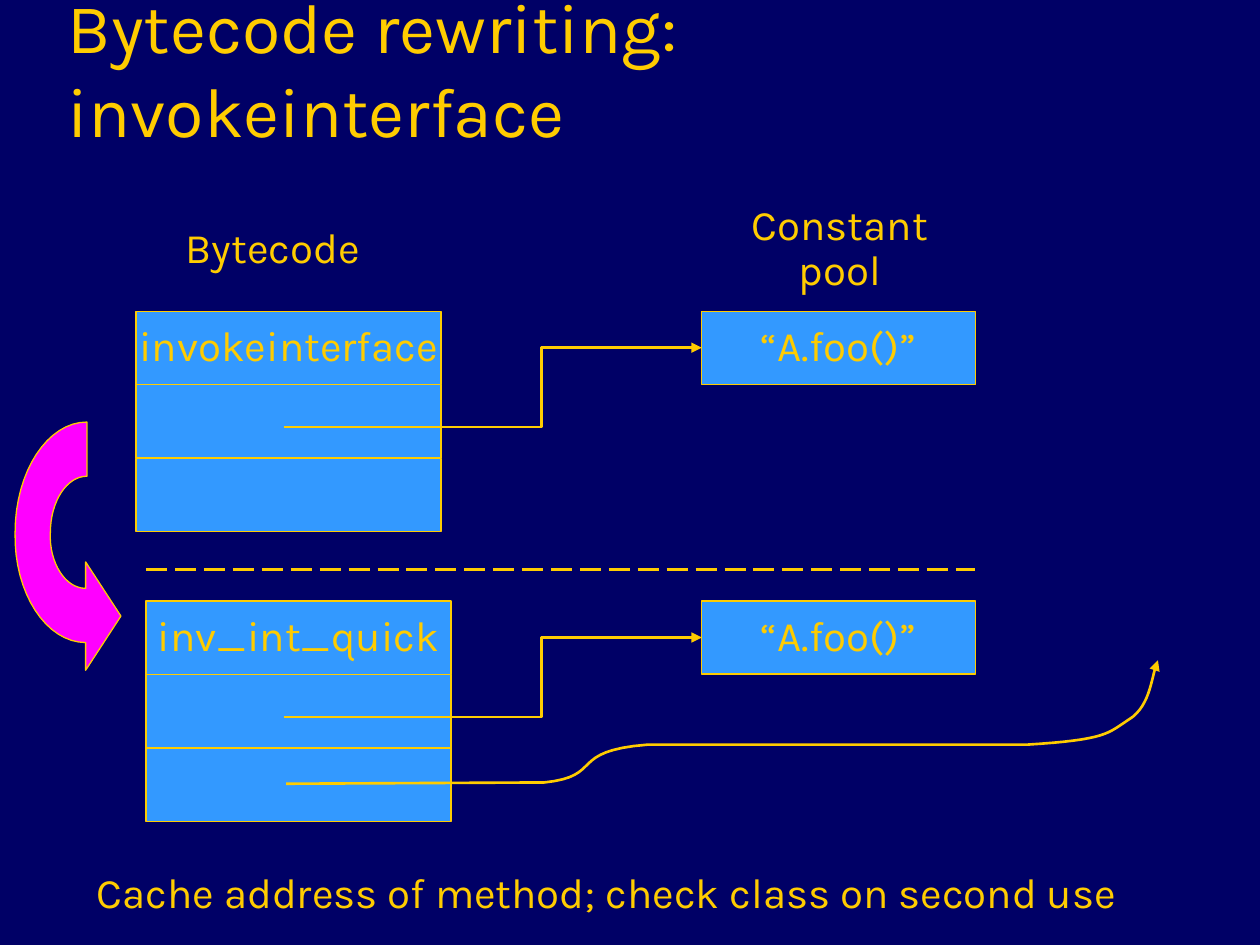
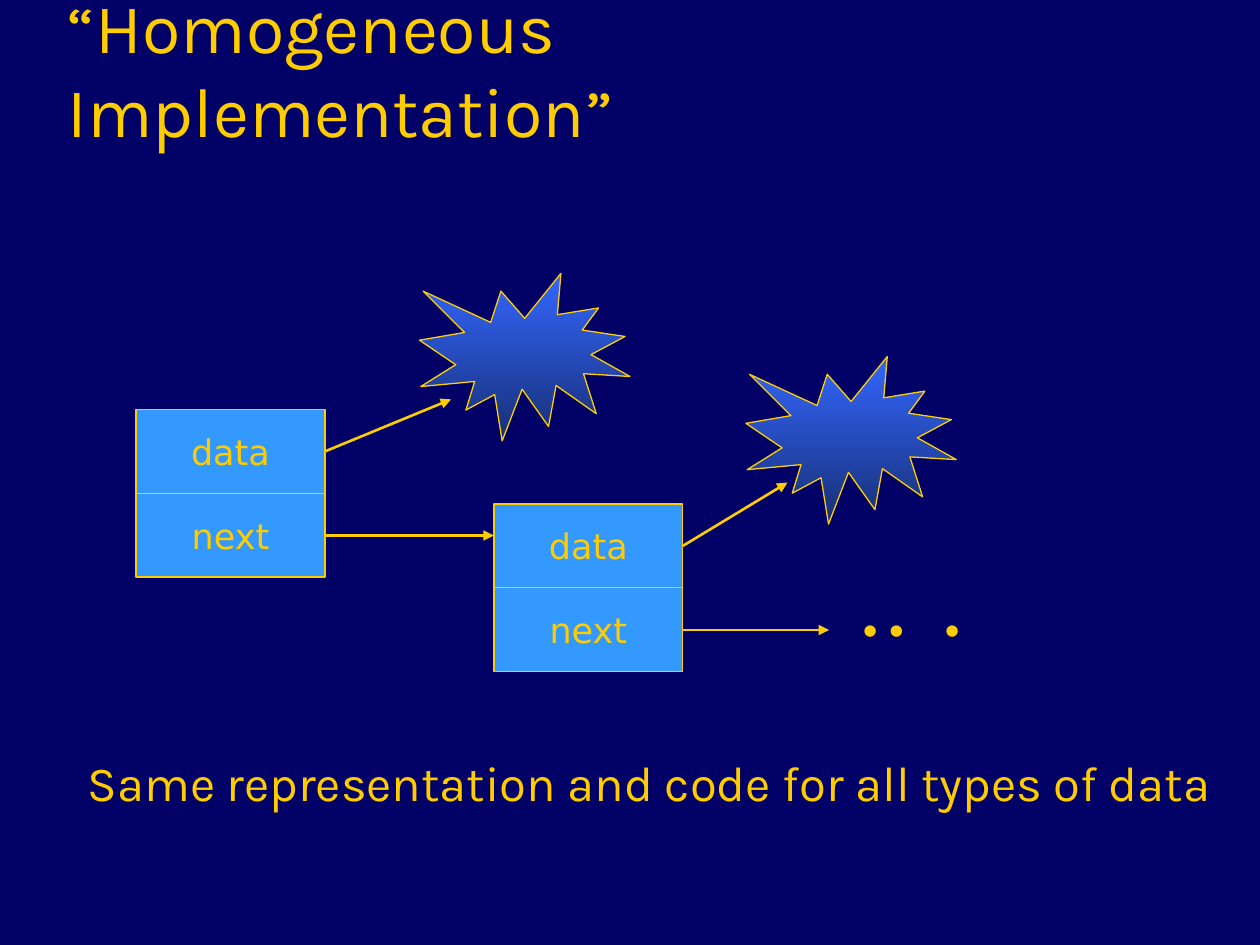
from dataclasses import dataclass

from lxml import etree
from pptx import Presentation
from pptx.dml.color import RGBColor as RGB
from pptx.enum.dml import MSO_LINE as Dash
from pptx.enum.shapes import MSO_CONNECTOR as Connector, MSO_SHAPE as Shape
from pptx.enum.text import MSO_ANCHOR as Anchor, PP_ALIGN as Align
from pptx.oxml.ns import qn
from pptx.util import Inches, Pt


@dataclass(frozen=True)
class Theme:
    background: RGB = RGB(0x00, 0x00, 0x66)
    gold: RGB = RGB(0xFF, 0xCC, 0x00)
    cell: RGB = RGB(0x33, 0x99, 0xFF)
    magenta: RGB = RGB(0xFF, 0x00, 0xFF)
    burst_top: RGB = RGB(0x33, 0x66, 0xFF)
    burst_bottom: RGB = RGB(0x17, 0x2F, 0x75)
    font: str = "Karla"
    field_font: str = "DejaVu Sans"
    dots_font: str = "Arial"
    title_size: int = 40
    summary_size: int = 28
    label_size: int = 24
    field_size: int = 20
    outline: float = 0.75
    arrow: float = 1.5


THEME = Theme()


# Shared parts

def new_slide(deck):
    slide = deck.slides.add_slide(deck.slide_layouts[6])
    slide.background.fill.solid()
    slide.background.fill.fore_color.rgb = THEME.background
    return slide


def write(shape, text, size=THEME.label_size, font=THEME.font, align=Align.LEFT,
          anchor=Anchor.TOP, spacing=1.0, wrap=True):
    frame = shape.text_frame
    frame.text = text
    frame.word_wrap = wrap
    frame.vertical_anchor = anchor
    paragraph = frame.paragraphs[0]
    paragraph.alignment = align
    paragraph.line_spacing = spacing
    for run in paragraph.runs:
        run.font.size = Pt(size)
        run.font.name = font
        run.font.color.rgb = THEME.gold
    return paragraph


def add_text(slide, box, text, **style):
    return write(slide.shapes.add_textbox(*map(Inches, box)), text, **style)


def add_title(slide, text, width):
    add_text(slide, (0.44, 0.25, width, 1), text, size=THEME.title_size,
             anchor=Anchor.BOTTOM)


def add_heading(slide, box, text):
    add_text(slide, box, text, align=Align.CENTER, anchor=Anchor.MIDDLE, spacing=0.9)


def add_summary(slide, box, text, size, space_before):
    add_text(slide, box, text, size=size).space_before = Pt(space_before)


def outline(shape, width=THEME.outline):
    shape.line.color.rgb = THEME.gold
    shape.line.width = Pt(width)


def add_preset(slide, kind, box):
    shape = slide.shapes.add_shape(kind, *map(Inches, box))
    shape.shadow.inherit = False
    outline(shape)
    return shape


def add_stack(slide, box, labels, **style):
    """Divide the box into equal cells, one for each label."""
    left, top, width, height = box
    cell_height = height / len(labels)
    for row, label in enumerate(labels):
        cell = add_preset(slide, Shape.RECTANGLE,
                          (left, top + row * cell_height, width, cell_height))
        cell.fill.solid()
        cell.fill.fore_color.rgb = THEME.cell
        if label:
            write(cell, label, align=Align.CENTER, anchor=Anchor.MIDDLE,
                  wrap=False, **style)


def add_arrowhead(shape):
    etree.SubElement(shape.line._get_or_add_ln(), qn("a:tailEnd"), type="triangle")


def add_line(slide, start, end):
    line = slide.shapes.add_connector(Connector.STRAIGHT, *map(Inches, start + end))
    outline(line, THEME.arrow)
    etree.SubElement(line._element.spPr, qn("a:effectLst"))
    return line


def add_arrow(slide, start, end):
    add_arrowhead(add_line(slide, start, end))


def curve(start, control_a, control_b, end, steps=16):
    """Points along a cubic Bézier curve, its start included."""
    points = []
    for step in range(steps + 1):
        t = step / steps
        weights = ((1 - t) ** 3, 3 * t * (1 - t) ** 2, 3 * t * t * (1 - t), t ** 3)
        points.append(tuple(
            sum(w * value for w, value in zip(weights, axis))
            for axis in zip(start, control_a, control_b, end)))
    return points


def add_outline(slide, left, top, points, close=False):
    corners = [(Inches(left + x), Inches(top + y)) for x, y in points]
    builder = slide.shapes.build_freeform(*corners[0])
    builder.add_line_segments(corners[1:], close=close)
    shape = builder.convert_to_shape()
    shape.shadow.inherit = False
    return shape


def add_track(slide, left, top, points):
    track = add_outline(slide, left, top, points)
    track.fill.background()
    outline(track, THEME.arrow)
    add_arrowhead(track)


# Bytecode rewriting

def add_bytecode_row(slide, left, top, opcode, indent=0.0):
    """Three-cell instruction whose operand points into the constant pool."""
    add_stack(slide, (left + indent, top, 2.42, 1.75), (opcode, "", ""), spacing=0.9)
    add_stack(slide, (left + 4.49, top, 2.17, 0.58), ("“A.foo()”",), spacing=0.9)
    add_track(slide, left + 1.17, top + 0.29,
              [(0, 0.63), (2.05, 0.63), (2.05, 0), (3.32, 0)])


def add_method_track(slide, left, top):
    add_track(slide, left, top, [
        (0, 0.98),
        *curve((2.05, 0.97), (2.53, 0.92), (2.23, 0.72), (2.87, 0.67)),
        *curve((5.88, 0.67), (6.52, 0.63), (6.52, 0.58), (6.69, 0.47)),
        *curve((6.69, 0.47), (6.87, 0.36), (6.87, 0.1), (6.92, 0))[1:],
    ])


def add_rewrite_arrow(slide, left, top):
    """Curved block arrow from the first instruction to its quick form."""
    arrow = add_outline(slide, left, top, [
        *curve((0.56, 1.32), (0.4, 1.32), (0.27, 1.12), (0.28, 0.88)),
        *curve((0.28, 0.88), (0.28, 0.63), (0.41, 0.43), (0.57, 0.43))[1:],
        *curve((0.57, 0), (0.26, 0), (0, 0.39), (0, 0.88)),
        *curve((0, 0.88), (-0.01, 1.36), (0.25, 1.75), (0.56, 1.75))[1:],
        (0.56, 1.97), (0.84, 1.54), (0.56, 1.11),
    ], close=True)
    arrow.fill.solid()
    arrow.fill.fore_color.rgb = THEME.magenta
    outline(arrow)


def build_rewriting_slide(deck):
    slide = new_slide(deck)
    add_title(slide, "Bytecode rewriting: invokeinterface", 9)
    add_heading(slide, (1, 1.75, 2.33, 0.46), "Bytecode")
    add_heading(slide, (5.5, 1.57, 2.33, 0.82), "Constant\vpool")
    add_bytecode_row(slide, 1.08, 2.47, "invokeinterface")
    add_rewrite_arrow(slide, 0.12, 3.35)
    add_line(slide, (1.16, 4.52), (7.74, 4.52)).line.dash_style = Dash.LONG_DASH
    add_bytecode_row(slide, 1.08, 4.77, "inv_int_quick", indent=0.08)
    add_method_track(slide, 2.27, 5.24)
    add_summary(slide, (0.67, 6.83, 9.33, 0.67),
                "Cache address of method; check class on second use",
                THEME.label_size, 6)


# Homogeneous implementation

def add_burst(slide, left, top):
    burst = add_preset(slide, Shape.EXPLOSION1, (left, top, 1.67, 1.33))
    burst.fill.gradient()
    burst.fill.gradient_angle = 270
    shades = (THEME.burst_top, THEME.burst_bottom)
    for position, (stop, shade) in enumerate(zip(burst.fill.gradient_stops, shades)):
        stop.position = position
        stop.color.rgb = shade


def add_list_node(slide, left, top, data_end, next_end):
    """List node with arrows to its data and to the next node."""
    width, height = 1.5, 1.33
    add_stack(slide, (left, top, width, height), ("data", "next"),
              size=THEME.field_size, font=THEME.field_font)
    add_arrow(slide, (left + width, top + height / 4), data_end)
    add_arrow(slide, (left + width, top + 1), next_end)


def add_continuation(slide, left, top):
    dots = add_text(slide, (left, top, 1.5, 0.5), "• •\t•", font=THEME.dots_font)
    tabs = etree.SubElement(dots._p.get_or_add_pPr(), qn("a:tabLst"))
    etree.SubElement(tabs, qn("a:tab"), pos=str(Inches(0.65)), algn="l")


def build_homogeneous_slide(deck):
    slide = new_slide(deck)
    add_title(slide, "“Homogeneous Implementation”", 8.5)
    add_burst(slide, 3.33, 2.17)
    add_burst(slide, 5.92, 2.83)
    add_list_node(slide, 1.08, 3.25, (3.58, 3.17), (3.92, 4.25))
    add_list_node(slide, 3.92, 4, (6.25, 3.83), (6.58, 5))
    add_continuation(slide, 6.75, 4.74)
    add_summary(slide, (0.6, 5.92, 9.33, 1.08),
                "Same representation and code for all types of data",
                THEME.summary_size, 7)


def main():
    deck = Presentation()
    deck.slide_width = Inches(10)
    deck.slide_height = Inches(7.5)
    build_rewriting_slide(deck)
    build_homogeneous_slide(deck)
    deck.save("out.pptx")


if __name__ == "__main__":
    main()
